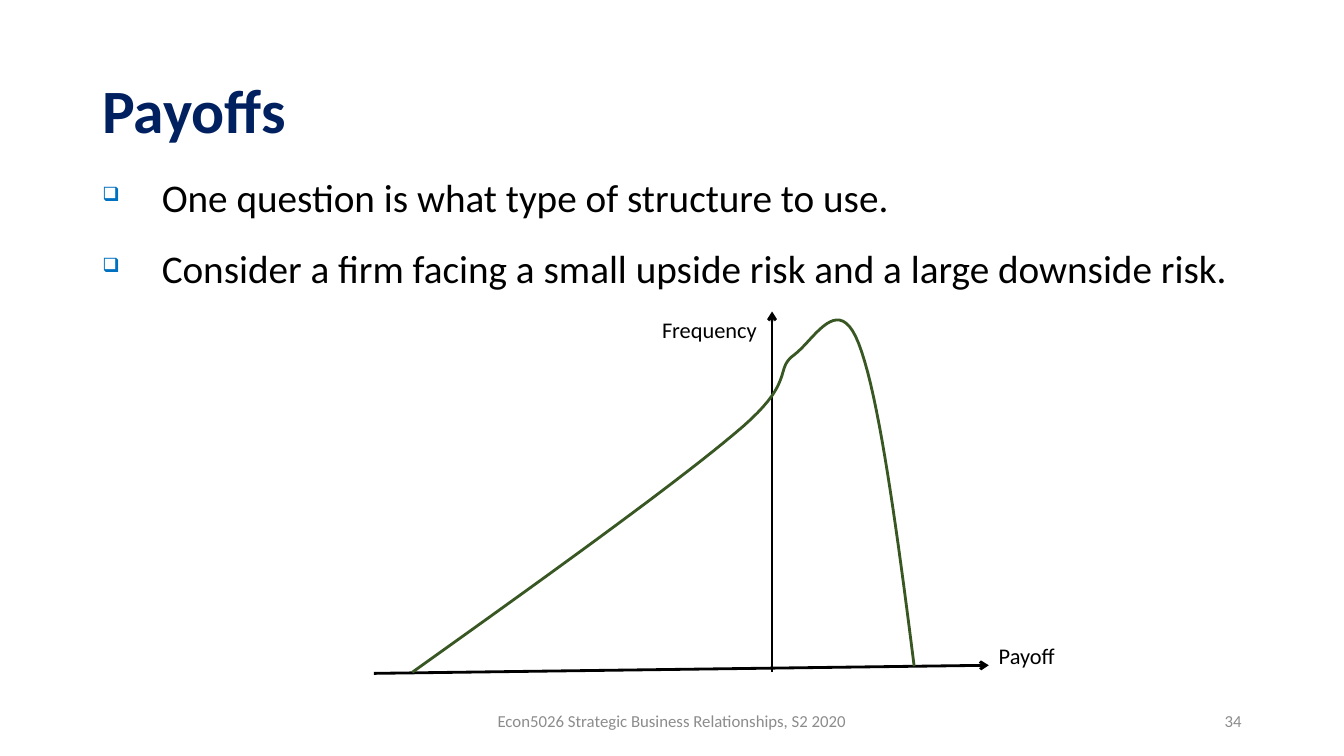
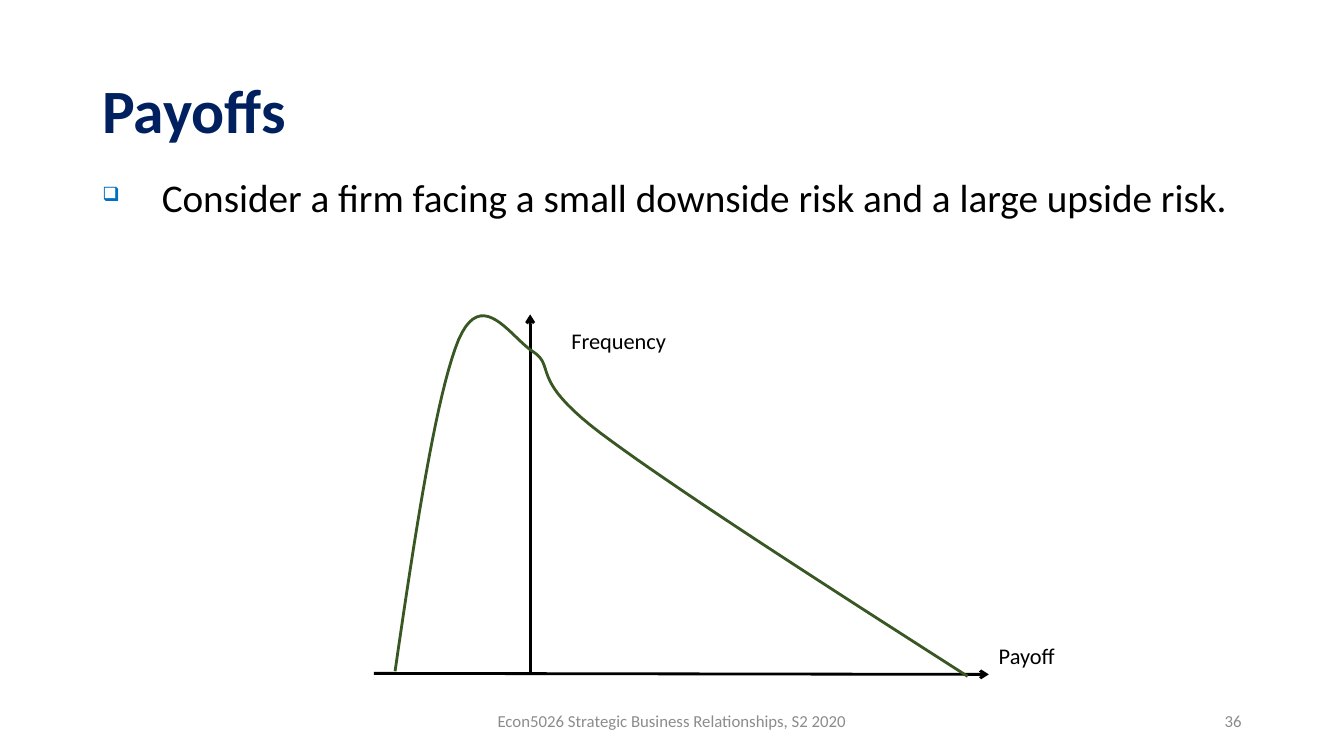
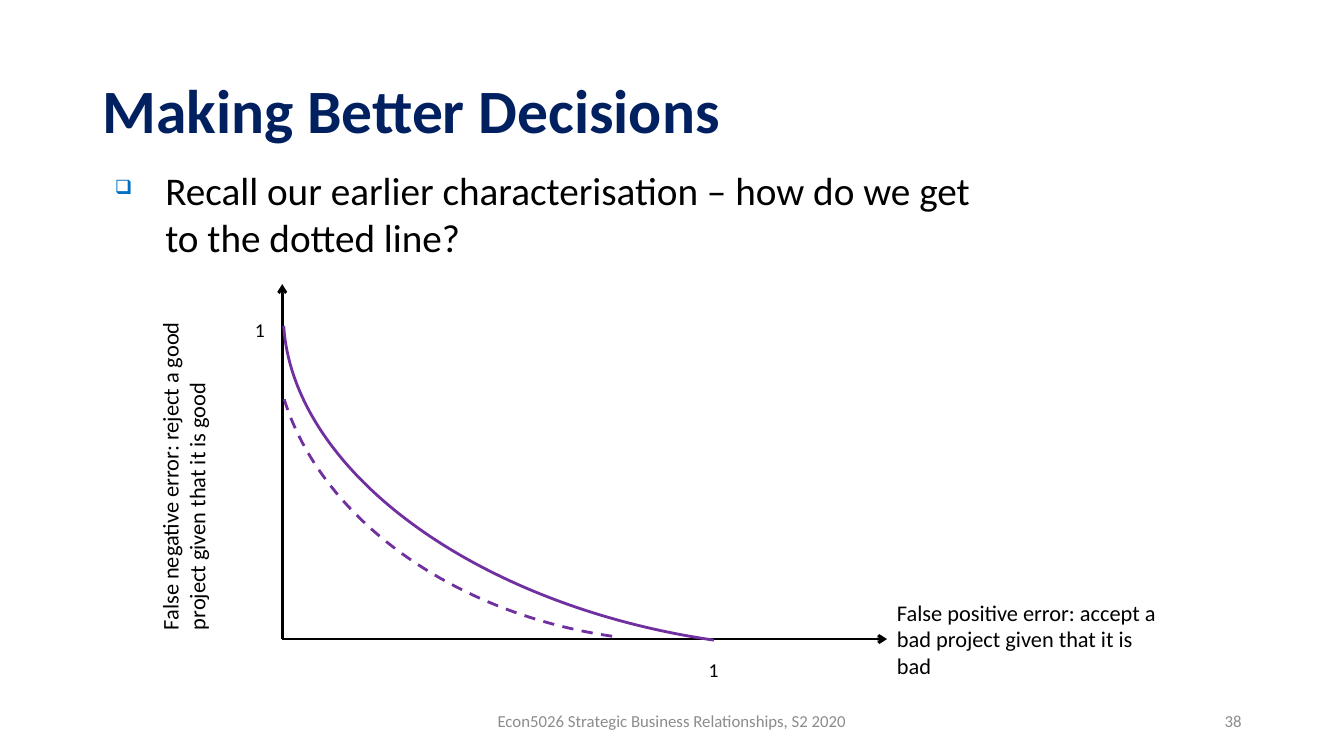
import pptx
import pptx.util
import pptx.dml.color
import pptx.enum.dml
import pptx.enum.shapes
import pptx.enum.text
import pptx.oxml
import pptx.oxml.ns
import lxml.etree

Pt = pptx.util.Pt
ALIGN = pptx.enum.text.PP_ALIGN
ANCHOR = pptx.enum.text.MSO_ANCHOR

COLORS = {
    "title": "002060",
    "text": "000000",
    "footer": "8C8C8C",
    "bullet": "0070C0",
    "axis": "000000",
    "frequency": "385723",
    "error": "7030A0",
}
FONT = "Calibri"
LINE_WIDTH = 2
CURVE_STEPS = 20
FOOTER = "Econ5026 Strategic Business Relationships, S2 2020"
TITLE_AREA = (66, 29, 828, 104)
FOOTER_AREA = (318, 500.5, 324, 28.8)
NUMBER_AREA = (678, 500.5, 216, 28.8)
WIDE_BODY = {"area": (66, 113.8, 828, 372), "indent": 42.5, "spacing": 1.2}
NARROW_BODY = {"area": (75, 115.2, 653, 75), "indent": 36, "spacing": 1.0}
PAYOFF_LABEL = ("Payoff", (706.3, 455, 75.6, 26.6), 16, None)

SLIDES = [
    {
        "title": "Payoffs",
        "number": "34",
        "body": WIDE_BODY,
        "bullets": [
            "One question is what type of structure to use.",
            "Consider a firm facing a small upside risk and a large downside risk.",
        ],
        "axes": [(551.5, 480.2, 551.5, 222.5), (267, 481, 706.3, 475.2)],
        "curve": [
            (294.5, 480.2), (387.4, 414), (479.5, 347.8), (524.9, 309.6),
            (570.2, 272.2), (552.2, 264.2), (567.4, 253.4),
            (581.8, 242.6), (599, 208.1), (613.4, 245.5),
            (627.8, 282.2), (640.8, 379.4), (653, 475.9),
        ],
        "labels": [PAYOFF_LABEL, ("Frequency", (465.8, 222.5, 85.7, 26.6), 16, None)],
    },
    {
        "title": "Payoffs",
        "number": "36",
        "body": WIDE_BODY,
        "bullets": ["Consider a firm facing a small downside risk and a large upside risk."],
        "axes": [(378.7, 481.7, 378.7, 224.6), (267, 481, 706.3, 481.7)],
        "curve": [
            (691.2, 483.1), (585.4, 415.4), (480.2, 347.8), (428.4, 308.9),
            (377.3, 270), (397.4, 262.1), (380.9, 251.3),
            (364.3, 240.5), (344.2, 204.5), (327.6, 242.6),
            (311.8, 280.8), (296.6, 380.2), (282.2, 479.5),
        ],
        "labels": [PAYOFF_LABEL, ("Frequency", (401, 230.4, 85.7, 26.6), 16, None)],
    },
    {
        "title": "Making Better Decisions",
        "number": "38",
        "body": NARROW_BODY,
        "bullets": ["Recall our earlier characterisation – how do we get to the dotted line?"],
        "axes": [(201.6, 456.5, 201.6, 203), (201.6, 456.5, 633.6, 456.5)],
        "arcs": [
            ((200.2, 51.8, 677.5, 407.5), 213.41, False),
            ((194.4, 54.7, 542.9, 401.8), 207.43, True),
        ],
        "labels": [
            ("False negative error: reject a good project given that it is good",
             (108, 207.4, 53.3, 249.8), 16, "vert270"),
            ("1", (175, 223.2, 20.2, 24.5), 14, None),
            ("1", (499, 466.6, 20.2, 24.5), 14, None),
            ("False positive error: accept a bad project given that it is bad",
             (633.6, 424.1, 200.2, 65.5), 16, None),
        ],
    },
]


def rgb(name):
    return pptx.dml.color.RGBColor.from_string(COLORS[name])


def add_text(page, lines, area, size, color="text", bold=False, align=ALIGN.LEFT,
             anchor=ANCHOR.TOP, spacing=1.0, indent=0, vertical=None):
    box = page.shapes.add_textbox(*map(Pt, area))
    frame = box.text_frame
    frame.word_wrap = True
    frame.vertical_anchor = anchor
    if vertical:
        frame._txBody.bodyPr.set("vert", vertical)
    frame.text = "\n".join(lines)
    for index, para in enumerate(frame.paragraphs):
        if indent:
            add_bullet(para, indent)
        para.alignment = align
        para.line_spacing = spacing
        if index:
            para.space_before = Pt(10)
        for span in para.runs:
            span.font.name = FONT
            span.font.size = Pt(size)
            span.font.bold = bold
            span.font.color.rgb = rgb(color)


def add_bullet(para, indent):
    properties = para._p.get_or_add_pPr()
    properties.set("marL", str(Pt(indent)))
    properties.set("indent", str(-Pt(indent)))
    tag = pptx.oxml.ns.qn
    bullet_color = lxml.etree.SubElement(properties, tag("a:buClr"))
    lxml.etree.SubElement(bullet_color, tag("a:srgbClr"), val=COLORS["bullet"])
    lxml.etree.SubElement(properties, tag("a:buSzPct"), val="50000")
    lxml.etree.SubElement(properties, tag("a:buChar"), char="❑")


def style_line(line, color):
    line.color.rgb = rgb(color)
    line.width = Pt(LINE_WIDTH)


def add_axis(page, ends):
    axis = page.shapes.add_connector(
        pptx.enum.shapes.MSO_CONNECTOR.STRAIGHT, *map(Pt, ends))
    style_line(axis.line, "axis")
    tag = pptx.oxml.ns.qn
    lxml.etree.SubElement(axis.line._get_or_add_ln(), tag("a:tailEnd"), type="arrow")
    lxml.etree.SubElement(axis._element.spPr, tag("a:effectLst"))


def bezier_point(controls, t):
    weights = ((1 - t) ** 3, 3 * t * (1 - t) ** 2, 3 * t ** 2 * (1 - t), t ** 3)
    return tuple(Pt(sum(w * p[axis] for w, p in zip(weights, controls))) for axis in (0, 1))


def style_curve(shape, color):
    shape.shadow.inherit = False
    shape.fill.background()
    style_line(shape.line, color)


def add_curve(page, controls):
    points = [
        bezier_point(controls[start:start + 4], step / CURVE_STEPS)
        for start in range(0, len(controls) - 1, 3)
        for step in range(1, CURVE_STEPS + 1)
    ]
    builder = page.shapes.build_freeform(*map(Pt, controls[0]))
    builder.add_line_segments(points, close=False)
    style_curve(builder.convert_to_shape(), "frequency")


def add_arc(page, area, end, dashed):
    arc = page.shapes.add_shape(pptx.enum.shapes.MSO_SHAPE.ARC, *map(Pt, area))
    arc.adjustments[0] = 162
    arc.adjustments[1] = end
    arc.rotation = 188.2
    style_curve(arc, "error")
    if dashed:
        arc.line.dash_style = pptx.enum.dml.MSO_LINE.DASH


def add_page(deck, content):
    page = deck.slides.add_slide(deck.slide_layouts[6])
    add_text(page, [content["title"]], TITLE_AREA, 44, "title", bold=True,
             anchor=ANCHOR.MIDDLE, spacing=0.9)
    add_text(page, content["bullets"], size=28, **content["body"])
    add_text(page, [FOOTER], FOOTER_AREA, 12, "footer",
             align=ALIGN.CENTER, anchor=ANCHOR.MIDDLE)
    add_text(page, [content["number"]], NUMBER_AREA, 12, "footer",
             align=ALIGN.RIGHT, anchor=ANCHOR.MIDDLE)
    for ends in content["axes"]:
        add_axis(page, ends)
    if "curve" in content:
        add_curve(page, content["curve"])
    for arc in content.get("arcs", []):
        add_arc(page, *arc)
    for label, area, size, vertical in content["labels"]:
        add_text(page, [label], area, size, vertical=vertical)


def main():
    deck = pptx.Presentation()
    deck.slide_width = Pt(960)
    deck.slide_height = Pt(540)
    for content in SLIDES:
        add_page(deck, content)
    deck.save("out.pptx")


if __name__ == "__main__":
    main()
